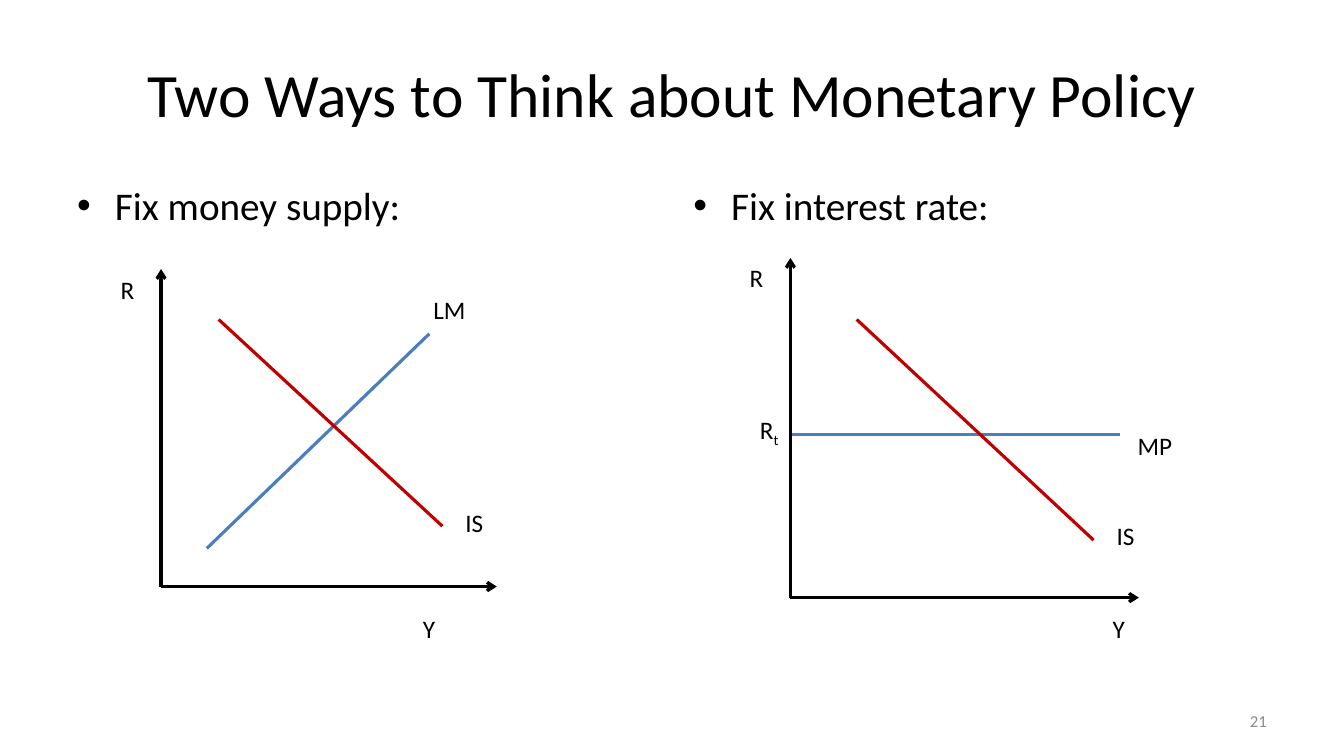
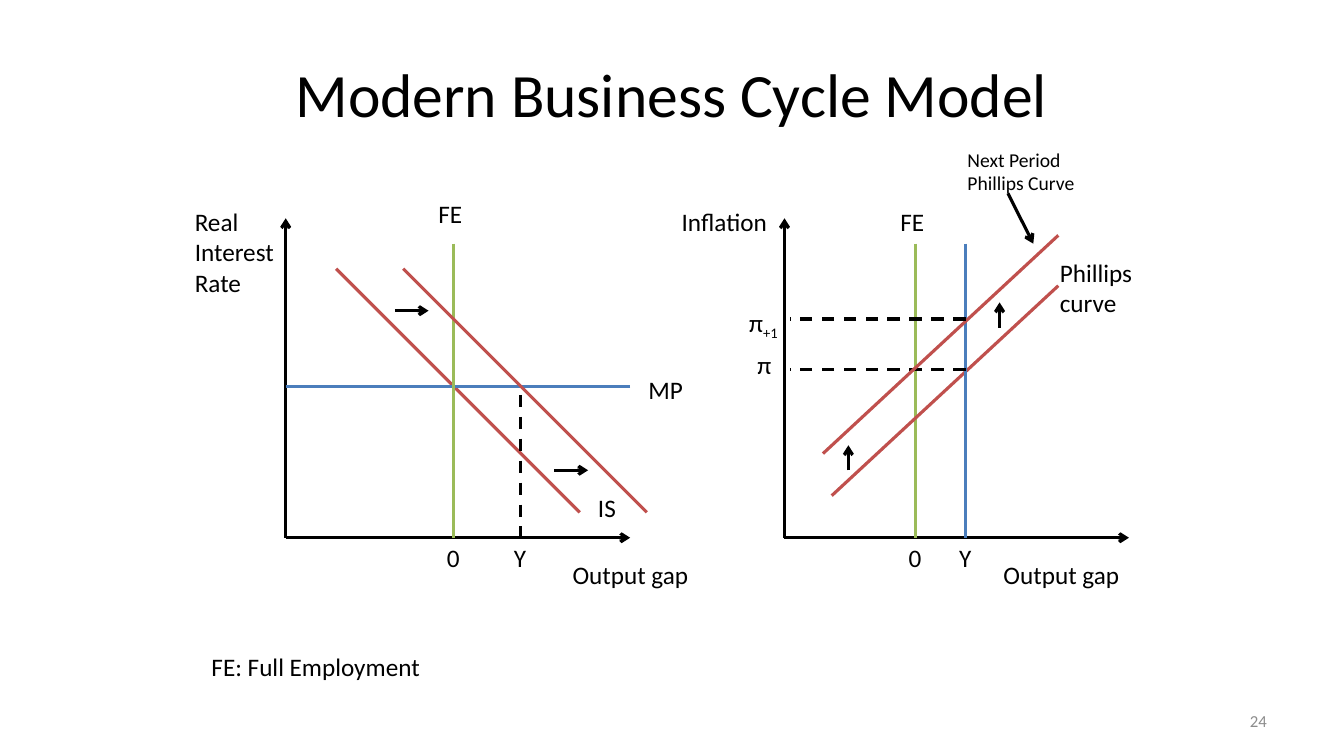
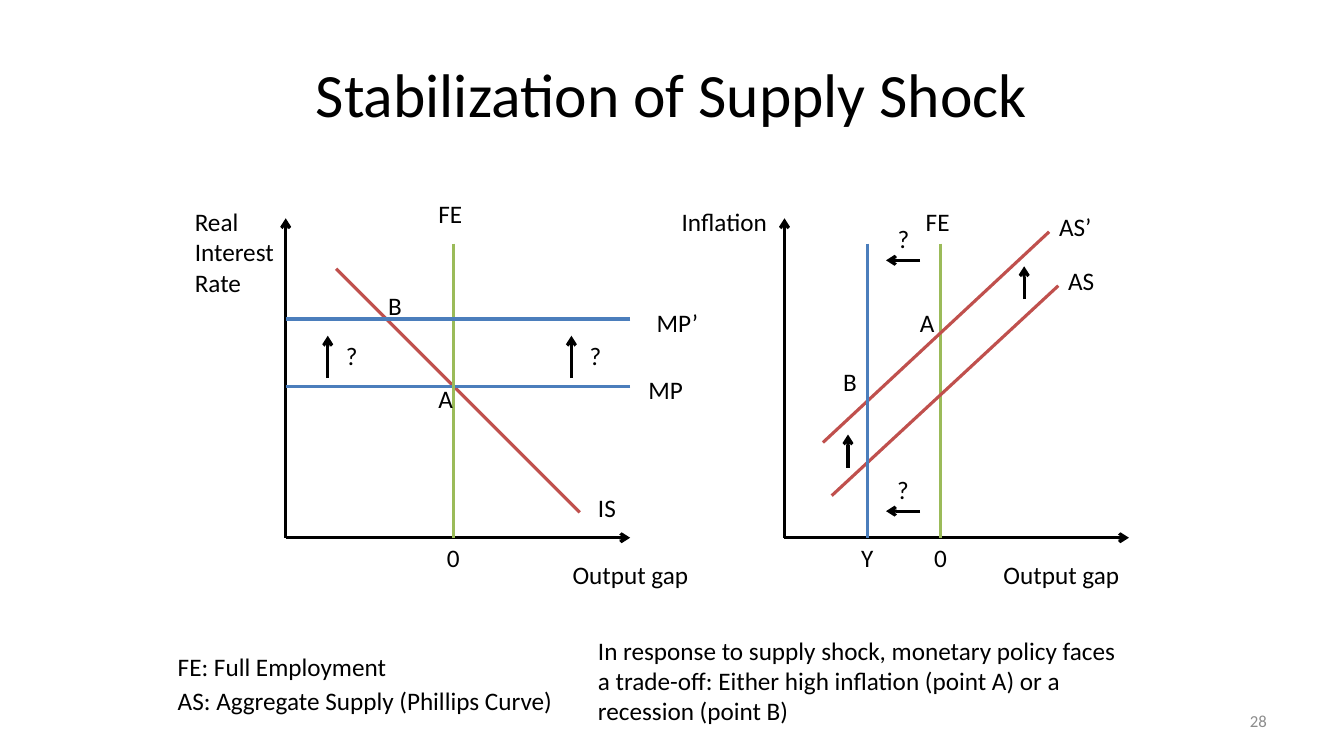
from pptx import Presentation
from pptx.dml.color import RGBColor
from pptx.enum.dml import MSO_LINE
from pptx.enum.shapes import MSO_CONNECTOR
from pptx.enum.text import MSO_ANCHOR, MSO_AUTO_SIZE, PP_ALIGN
from pptx.oxml.ns import qn
from pptx.util import Cm, Pt
from lxml import etree

BLACK = RGBColor(0x00, 0x00, 0x00)
GREY = RGBColor(0x8C, 0x8C, 0x8C)
BLUE = RGBColor(0x4B, 0x7E, 0xBC)
GREEN = RGBColor(0x9B, 0xBB, 0x59)
RED = RGBColor(0xC0, 0x50, 0x4D)
DARK_RED = RGBColor(0xC0, 0x00, 0x00)

FONT = "Calibri"
STRAIGHT = MSO_CONNECTOR.STRAIGHT
DASH = MSO_LINE.DASH
FIT_TEXT = MSO_AUTO_SIZE.SHAPE_TO_FIT_TEXT
MIDDLE = MSO_ANCHOR.MIDDLE
RIGHT = PP_ALIGN.RIGHT
CENTER = PP_ALIGN.CENTER
TITLE_ONLY, TWO_CONTENT = 5, 3

# All positions below are in centimetres
TITLE_BOX = (1.69, 0.76, 30.48, 3.18)
BODY_BOXES = ((1.69, 4.45, 14.96, 12.57), (17.22, 4.45, 14.96, 12.57))
NUMBER_BOX = (24.28, 17.65, 7.9, 1.02)
BASELINE, MARKER_TOP = 13.55, 6.14
LEFT_AXIS, LEFT_AXIS_END = 7.2, 15.88
RIGHT_AXIS, RIGHT_AXIS_END = 19.77, 28.45

# Box widths of the one-line labels; "_" starts a subscript
LABEL_WIDTHS = {
    "R": 0.84, "R_t": 0.99, "Y": 0.81, "0": 0.84, "A": 0.89, "B": 0.86, "?": 0.81,
    "IS": 0.97, "FE": 1.12, "MP": 1.4, "MP’": 1.57, "π": 0.86, "π_+1": 1.35,
    "Inflation": 2.69, "Output gap": 3.45, "FE: Full Employment": 5.82,
    "AS: Aggregate Supply (Phillips Curve)": 10.06,
}


# Rules for the repeated parts of a diagram
def axes(x, y, top, right):
    return [(BLACK, x, y, x, top, "arrow"), (BLACK, x, y, right, y, "arrow")]


def vertical(x, colour):
    return (colour, x, MARKER_TOP, x, BASELINE)


def tick(text, x):
    return (text, x - 0.42, BASELINE)


def model_lines(zero_x):
    return [
        *axes(RIGHT_AXIS, BASELINE, 5.5, RIGHT_AXIS_END),
        vertical(zero_x, GREEN),
        (RED, 20.96, 12.49, 26.67, 7.2),
        *axes(LEFT_AXIS, BASELINE, 5.5, LEFT_AXIS_END),
        (RED, 8.47, 6.77, 14.61, 12.91),
        (BLUE, LEFT_AXIS_END, 9.74, LEFT_AXIS, 9.74),
        vertical(11.43, GREEN),
    ]


def model_labels(zero_x):
    return [
        ("Inflation", 16.93, 5.08), ("Output gap", 25.04, 13.97),
        ("Output gap", 14.18, 13.97), ("IS", 14.82, 12.28), ("MP", 16.09, 9.31),
        ("Real Interest Rate", 4.66, 5.08, 2.54, 3),
        ("FE", 10.8, 4.87), tick("0", 11.43),
        ("FE", zero_x - 0.63, 5.08), tick("0", zero_x),
    ]


# Lines: colour, start x, start y, end x, end y, optional style
# Labels: text, left, top, then for wrapped text width, line count, size
SLIDES = [
    {
        "title": "Two Ways to Think about Monetary Policy",
        "number": "21",
        "bullets": ["Fix money supply:", "Fix interest rate:"],
        "lines": [
            *axes(19.92, 15.06, 6.5, 28.7),
            (BLUE, 19.96, 10.95, 28.22, 10.95),
            *axes(4.06, 14.78, 6.78, 12.52),
            (BLUE, 5.21, 13.82, 10.82, 8.41),
            (DARK_RED, 5.51, 8.05, 11.15, 13.26),
            (DARK_RED, 21.59, 8.05, 27.56, 13.61),
        ],
        "labels": [
            ("R", 18.64, 6.48), ("MP", 28.42, 10.72), ("R_t", 18.9, 10.31),
            ("Y", 27.79, 15.34), ("Y", 10.41, 15.34), ("R", 2.79, 6.78),
            ("LM", 10.67, 7.29, 1.68), ("IS", 11.48, 12.67), ("IS", 27.89, 12.98),
        ],
    },
    {
        "title": "Modern Business Cycle Model",
        "number": "24",
        "lines": [
            *model_lines(23.07),
            (RED, 10.16, 6.77, 16.3, 12.91),
            (BLACK, 9.95, 7.83, 10.8, 7.83, "arrow"),
            (BLACK, 13.97, 11.85, 14.82, 11.85, "arrow"),
            (BLACK, 13.12, 9.95, 13.12, BASELINE, "dash"),
            (BLACK, 25.4, 4.87, 26.04, 6.14, "arrow"),
            vertical(24.34, BLUE),
            (BLACK, 24.34, 9.31, 19.9, 9.31, "dash"),
            (RED, 20.74, 11.43, 26.67, 5.93),
            (BLACK, 21.38, 11.85, 21.38, 11.22, "arrow"),
            (BLACK, 25.19, 8.26, 25.19, 7.62, "arrow"),
            (BLACK, 24.34, 8.04, 19.9, 8.04, "dash"),
        ],
        "labels": [
            *model_labels(23.07),
            ("Phillips curve", 26.46, 6.35, 2.75, 2),
            ("FE: Full Employment", 5.08, 16.3),
            tick("Y", 13.12), tick("Y", 24.34),
            ("Next Period Phillips Curve", 24.13, 3.6, 3.81, 2, 14),
            ("π", 18.84, 8.68), ("π_+1", 18.63, 7.62),
        ],
    },
    {
        "title": "Stabilization of Supply Shock",
        "number": "28",
        "lines": [
            *model_lines(23.71),
            (RED, 20.74, 11.15, 26.44, 5.84),
            (BLACK, 21.37, 11.79, 21.37, 10.95, "arrow"),
            (BLACK, 25.81, 7.54, 25.81, 6.71, "arrow"),
            (BLUE, LEFT_AXIS_END, 8.04, LEFT_AXIS, 8.04),
            (BLACK, 14.4, 9.53, 14.4, 8.46, "arrow"),
            (BLACK, 8.26, 9.53, 8.26, 8.46, "arrow"),
            vertical(21.87, BLUE),
            (BLACK, 23.19, 12.88, 22.33, 12.88, "arrow"),
            (BLACK, 23.19, 6.56, 22.33, 6.56, "arrow"),
        ],
        "labels": [
            *model_labels(23.71),
            ("AS", 26.67, 6.56, 1.7), ("AS’", 26.44, 5.21, 1.78),
            ("FE: Full Employment", 4.23, 16.3),
            ("AS: Aggregate Supply (Phillips Curve)", 4.23, 17.15),
            ("In response to supply shock, monetary policy faces a trade-off: "
             "Either high inflation (point A) or a recession (point B)",
             14.82, 15.88, 13.55, 3),
            ("A", 10.8, 9.53), ("A", 22.93, 7.62), ("MP’", 16.3, 7.62),
            ("B", 9.53, 7.2), ("?", 8.47, 8.46), ("?", 14.61, 8.46),
            tick("Y", 21.87), ("B", 21, 9.1),
            ("?", 22.37, 5.51), ("?", 22.36, 11.84),
        ],
    },
]


def format_paragraph(paragraph, size, colour=BLACK):
    paragraph.font.name = FONT
    paragraph.font.size = Pt(size)
    paragraph.font.color.rgb = colour


def fill_placeholder(shape, text, box, size):
    shape.left, shape.top, shape.width, shape.height = map(Cm, box)
    shape.text_frame.text = text
    paragraph = shape.text_frame.paragraphs[0]
    format_paragraph(paragraph, size)
    return paragraph


def add_line(slide, colour, x1, y1, x2, y2, style=None):
    connector = slide.shapes.add_connector(STRAIGHT, Cm(x1), Cm(y1), Cm(x2), Cm(y2))
    connector.line.color.rgb = colour
    connector.line.width = Pt(2.25)
    if style == "dash":
        connector.line.dash_style = DASH
    elif style == "arrow":
        line = connector.line._get_or_add_ln()
        etree.SubElement(line, qn("a:tailEnd"), type="arrow")
    etree.SubElement(connector._element.spPr, qn("a:effectLst"))


def add_label(slide, text, left, top, width=None, line_count=1, size=18):
    box_width = width or LABEL_WIDTHS[text]
    height = Cm(0.25) + Pt(size * 1.2 * line_count)
    shape = slide.shapes.add_textbox(Cm(left), Cm(top), Cm(box_width), height)
    shape.text_frame.word_wrap = width is not None
    shape.text_frame.auto_size = FIT_TEXT
    paragraph = shape.text_frame.paragraphs[0]
    format_paragraph(paragraph, size)
    main, _, subscript = text.partition("_")
    paragraph.add_run().text = main
    if subscript:
        run = paragraph.add_run()
        run.text = subscript
        run._r.get_or_add_rPr().set("baseline", "-25000")


def add_number(slide, number):
    frame = slide.shapes.add_textbox(*map(Cm, NUMBER_BOX)).text_frame
    frame.word_wrap = True
    frame.vertical_anchor = MIDDLE
    frame.text = number
    frame.paragraphs[0].alignment = RIGHT
    format_paragraph(frame.paragraphs[0], 12, GREY)


def build_slide(presentation, content):
    bullets = content.get("bullets", [])
    layout = presentation.slide_layouts[TWO_CONTENT if bullets else TITLE_ONLY]
    slide = presentation.slides.add_slide(layout)
    title = fill_placeholder(slide.shapes.title, content["title"], TITLE_BOX, 44)
    title.alignment = CENTER
    slide.shapes.title.text_frame.vertical_anchor = MIDDLE
    for index, (text, box) in enumerate(zip(bullets, BODY_BOXES), start=1):
        fill_placeholder(slide.placeholders[index], text, box, 28)
    add_number(slide, content["number"])
    for line in content["lines"]:
        add_line(slide, *line)
    for label in content["labels"]:
        add_label(slide, *label)


def main():
    presentation = Presentation()
    presentation.slide_width = Cm(33.87)
    presentation.slide_height = Cm(19.05)
    for content in SLIDES:
        build_slide(presentation, content)
    presentation.save("out.pptx")


if __name__ == "__main__":
    main()
